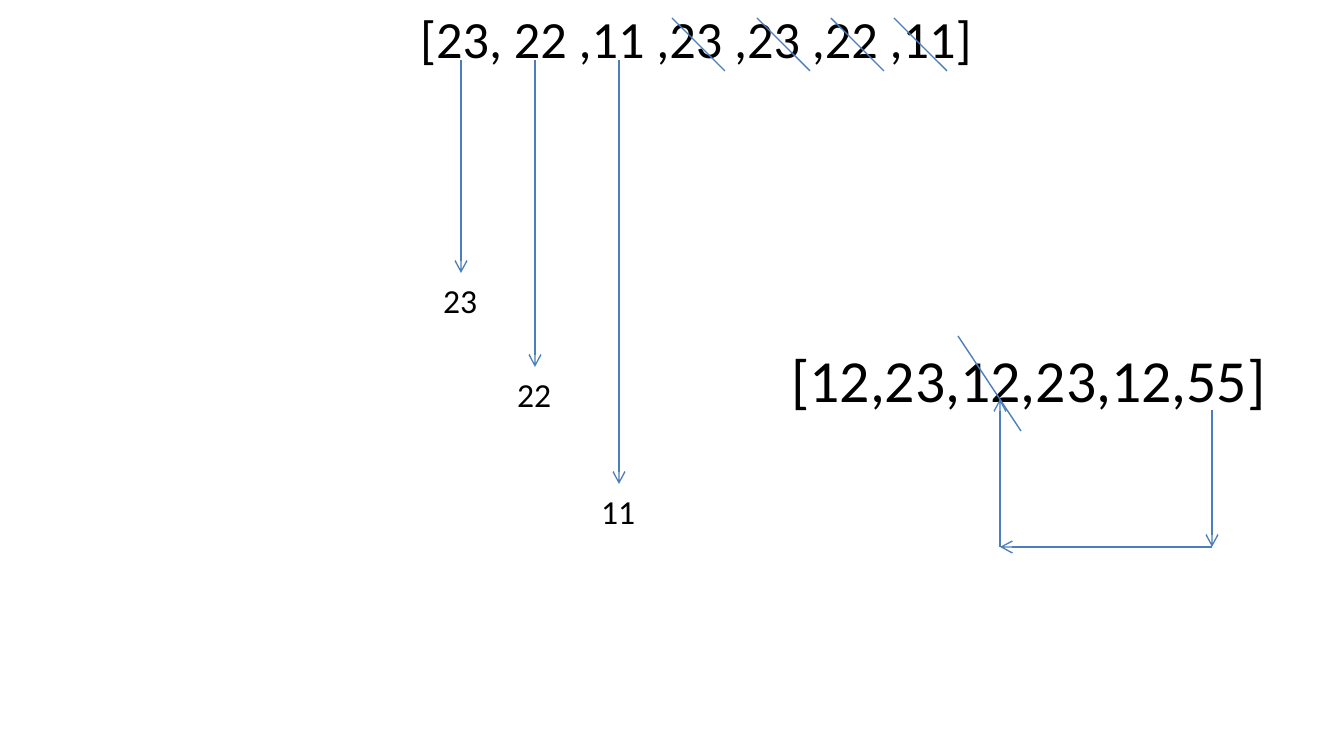
from lxml import etree
from pptx import Presentation
from pptx.dml.color import RGBColor
from pptx.enum.shapes import MSO_CONNECTOR
from pptx.enum.text import MSO_AUTO_SIZE
from pptx.oxml.ns import qn
from pptx.util import Pt

EMU_PER_PIXEL = 914400 / 134.4
SLIDE_WIDTH, SLIDE_HEIGHT = 1344, 756
BLANK_LAYOUT = 6
STRAIGHT = MSO_CONNECTOR.STRAIGHT
FIT_SHAPE = MSO_AUTO_SIZE.SHAPE_TO_FIT_TEXT
BLACK = RGBColor(0x00, 0x00, 0x00)
BLUE = RGBColor(0x4B, 0x7E, 0xBC)
FONT = "Calibri"

ARROW_TOP = 60
LABEL_WIDTH, LABEL_HEIGHT = 62, 54
KEPT_VALUES = [("23", 461, 273), ("22", 535, 367), ("11", 619, 484)]
STRIKE_LEFTS = [672, 757, 831, 894]
STRIKE_TOP, STRIKE_SIZE = 18, 53
LOOP_POINTS = [(1212, 410), (1212, 547), (1000, 547), (1000, 399)]


def emu(pixels):
    """Turn pixels into EMU."""
    return round(pixels * EMU_PER_PIXEL)


def add_text(slide, text, left, top, width, height, size):
    """Add one unwrapped line of text."""
    box = slide.shapes.add_textbox(emu(left), emu(top), emu(width), emu(height))
    frame = box.text_frame
    frame.text = text
    frame.word_wrap = False
    frame.auto_size = FIT_SHAPE
    font = frame.paragraphs[0].runs[0].font
    font.name = FONT
    font.size = Pt(size)
    font.color.rgb = BLACK


def add_line(slide, start, end, arrow=False):
    """Add a thin blue line, with an open arrowhead at its end on request."""
    ends = [emu(value) for value in (*start, *end)]
    connector = slide.shapes.add_connector(STRAIGHT, *ends)
    connector.line.color.rgb = BLUE
    connector.line.width = Pt(0.75)
    properties = connector._element.spPr
    if arrow:
        outline = properties.find(qn("a:ln"))
        etree.SubElement(outline, qn("a:tailEnd")).set("type", "arrow")
    etree.SubElement(properties, qn("a:effectLst"))


def add_kept_value(slide, value, center, bottom):
    """Point from a list entry down to its value."""
    add_line(slide, (center, ARROW_TOP), (center, bottom), arrow=True)
    add_text(slide, value, center - LABEL_WIDTH / 2, bottom,
             LABEL_WIDTH, LABEL_HEIGHT, 18)


def main():
    """Build the slide and save it."""
    presentation = Presentation()
    presentation.slide_width = emu(SLIDE_WIDTH)
    presentation.slide_height = emu(SLIDE_HEIGHT)
    slide = presentation.slides.add_slide(presentation.slide_layouts[BLANK_LAYOUT])

    add_text(slide, "[23, 22 ,11 ,23 ,23 ,22 ,11]", 407, 0, 587, 77, 28)
    for value, center, bottom in KEPT_VALUES:
        add_kept_value(slide, value, center, bottom)
    for left in STRIKE_LEFTS:
        add_line(slide, (left, STRIKE_TOP),
                 (left + STRIKE_SIZE, STRIKE_TOP + STRIKE_SIZE))

    add_text(slide, "[12,23,12,23,12,55]", 778, 336, 507, 86, 32)
    for start, end in zip(LOOP_POINTS, LOOP_POINTS[1:]):
        add_line(slide, start, end, arrow=True)
    add_line(slide, (958, 336), (1021, 431))

    presentation.save("out.pptx")


main()
